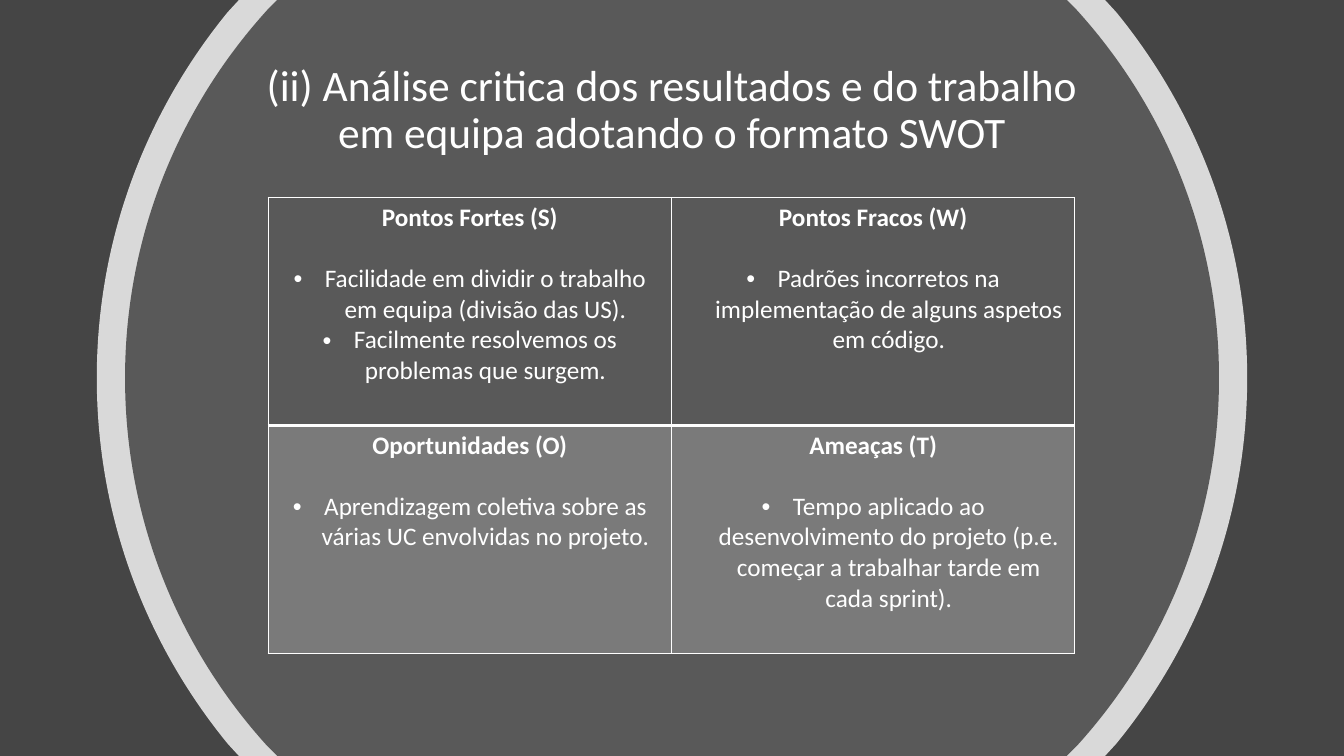
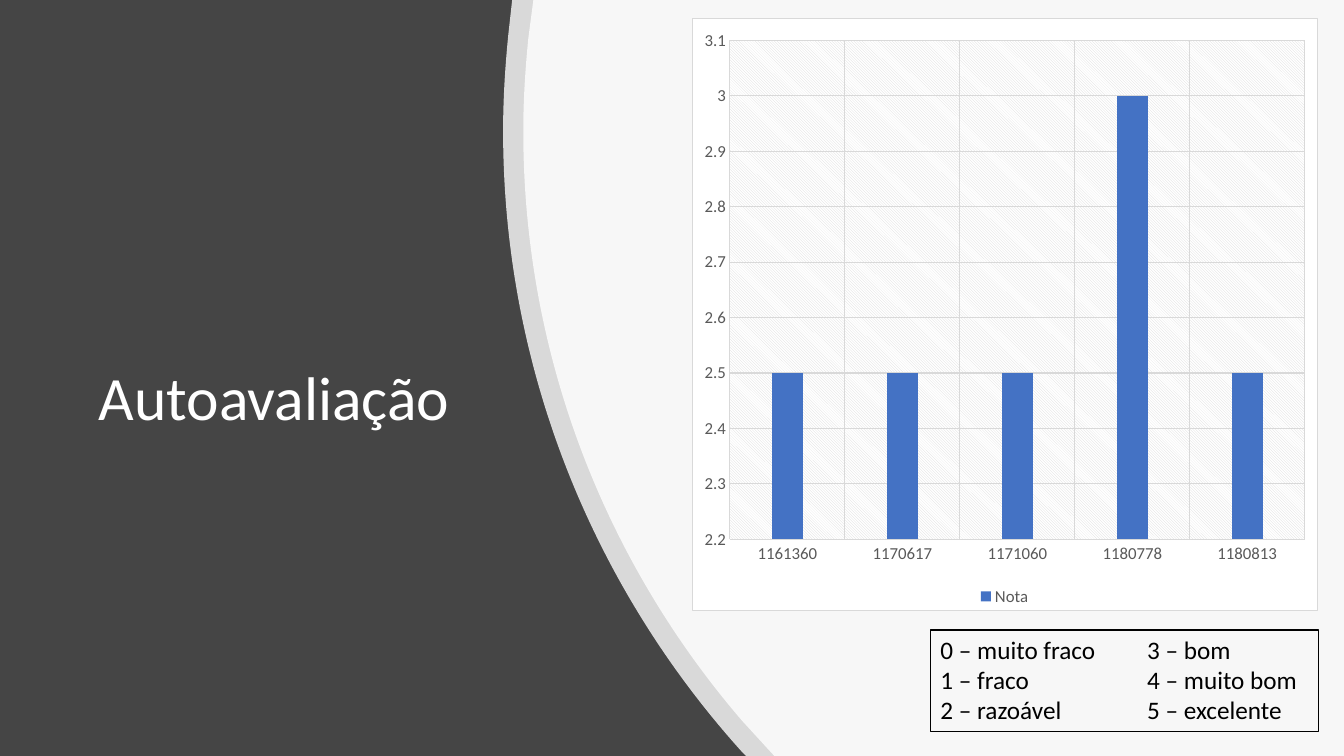
"""Build two slides: a SWOT table inside a ring and a self-assessment chart."""
import pptx
import pptx.chart.data
import pptx.dml.color
import pptx.enum.chart
import pptx.enum.shapes
import pptx.enum.text
import pptx.oxml
import pptx.oxml.ns
import pptx.util
from lxml import etree

PX = 9144
WIDTH, HEIGHT = 1333, 750
FONT = "Calibri"
COLORS = {
    "dark": "454545",
    "disc": "595959",
    "white": "FFFFFF",
    "black": "000000",
    "grid": "D9D9D9",
    "label": "595959",
    "bar": "4472C4",
}
ALIGN = pptx.enum.text.PP_ALIGN
DRAWING_NS = 'xmlns:a="http://schemas.openxmlformats.org/drawingml/2006/main"'
CHART_NS = 'xmlns:c="http://schemas.openxmlformats.org/drawingml/2006/chart"'

SWOT_TITLE = "(ii) Análise critica dos resultados e do trabalho em equipa adotando o formato SWOT"
SWOT_BOX = (266, 196, 800, 452)
SWOT = [
    [
        ("Pontos Fortes (S)", ["Facilidade em dividir o trabalho em equipa (divisão das US).",
                               "Facilmente resolvemos os problemas que surgem."]),
        ("Pontos Fracos (W)", ["Padrões incorretos na implementação de alguns aspetos em código."]),
    ],
    [
        ("Oportunidades (O)", ["Aprendizagem coletiva sobre as várias UC envolvidas no projeto."]),
        ("Ameaças (T)", ["Tempo aplicado ao desenvolvimento do projeto (p.e. começar a "
                         "trabalhar tarde em cada sprint)."]),
    ],
]
SWOT_BORDERS = [{"L": 1, "R": 1, "T": 1, "B": 2}, {"L": 1, "R": 1, "T": 1, "B": 1}]
SWOT_OPACITY = [None, 20]

RING_QUARTERS = [
    ([(1096, 0), (1107, 12), (1188, 111), (1237, 237), (1237, 375)], "white", 80),
    ([(1058, 0), (1068, 10), (1156, 107), (1209, 235), (1209, 375)], "disc", None),
]
PANELS = [
    [(508, 0), (WIDTH, 0), (WIDTH, HEIGHT), (740, HEIGHT), (736, 746),
     (589, 583, 499, 367, 499, 130), (499, 98, 501, 67, 504, 36)],
    [(529, 0), (WIDTH, 0), (WIDTH, HEIGHT), (768, HEIGHT), (736, 715),
     (601, 558, 519, 354, 519, 130), (519, 99, 521, 69, 524, 38)],
]

GRADES_TITLE = "Autoavaliação"
GRADES_BOX = (686, 18, 621, 588)
GRADES = {"1161360": 2.5, "1170617": 2.5, "1171060": 2.5, "1180778": 3, "1180813": 2.5}
SCALE_BOX = (923, 625, 385, 101)
SCALE_COLUMNS = [
    ((923, 624, 176, 101), ["0 – muito fraco", "1 – fraco", "2 – razoável"]),
    ((1128, 624, 171, 101), ["3 – bom", "4 – muito bom", "5 – excelente"]),
]


def rgb(name):
    return pptx.dml.color.RGBColor.from_string(COLORS[name])


def emu(lengths):
    return [length * PX for length in lengths]


def paint(fill, name, opacity=None):
    fill.solid()
    fill.fore_color.rgb = rgb(name)
    if opacity is not None:
        solid = fill._xPr.find(pptx.oxml.ns.qn("a:solidFill"))
        alpha = etree.SubElement(solid[0], pptx.oxml.ns.qn("a:alpha"))
        alpha.set("val", str(opacity * 1000))


def style_font(font, size, color, bold=False):
    font.name, font.size, font.bold = FONT, pptx.util.Pt(size), bold
    font.color.rgb = rgb(color)


def style_runs(paragraph, size, color, bold=False):
    for run in paragraph.runs:
        style_font(run.font, size, color, bold)


def add_text(slide, box, lines, size, color, wrap=True):
    frame = slide.shapes.add_textbox(*emu(box)).text_frame
    frame.text = "\n".join(lines)
    frame.word_wrap = wrap
    for paragraph in frame.paragraphs:
        style_runs(paragraph, size, color)
    return frame


def add_title(slide, box, title, size, align):
    frame = add_text(slide, box, [title], size, "white")
    frame.vertical_anchor = pptx.enum.text.MSO_ANCHOR.MIDDLE
    frame.paragraphs[0].alignment = align
    frame.paragraphs[0].line_spacing = 0.9


def ring(quarter):
    half = quarter + [(x, HEIGHT - y) for x, y in quarter[-2::-1]]
    outline = []
    for side in (half, [(WIDTH - x, y) for x, y in reversed(half)]):
        outline += [*side[:2], sum(side[2:5], ()), sum(side[5:8], ()), side[8]]
    return outline[-1:] + outline[:-1]


def add_outline(slide, outline, color, opacity):
    corners = [emu(part[i:i + 2]) for part in outline for i in range(0, len(part), 2)]
    builder = slide.shapes.build_freeform(*corners[0], scale=1.0)
    builder.add_line_segments(corners[1:], close=True)
    shape = builder.convert_to_shape()
    segments = iter(list(shape._element.iter(pptx.oxml.ns.qn("a:lnTo"))))
    for part in outline[1:]:
        segment = next(segments)
        if len(part) == 6:
            segment.tag = pptx.oxml.ns.qn("a:cubicBezTo")
            for _ in range(2):
                absorbed = next(segments)
                segment.append(absorbed[0])
                absorbed.getparent().remove(absorbed)
    shape.shadow.inherit = False
    shape.line.fill.background()
    paint(shape.fill, color, opacity)


def set_borders(cell, widths):
    properties = cell._tc.get_or_add_tcPr()
    for index, (side, width) in enumerate(widths.items()):
        properties.insert(index, pptx.oxml.parse_xml(
            f'<a:ln{side} {DRAWING_NS} w="{pptx.util.Pt(width)}">{solid_xml("white")}</a:ln{side}>'))


def set_bullet(paragraph):
    properties = paragraph._p.get_or_add_pPr()
    properties.set("marL", str(31 * PX))
    properties.set("indent", str(-31 * PX))
    etree.SubElement(properties, pptx.oxml.ns.qn("a:buFont")).set("typeface", "Arial")
    etree.SubElement(properties, pptx.oxml.ns.qn("a:buChar")).set("char", "•")


def fill_quadrant(cell, heading, points):
    cell.text_frame.text = "\n".join([heading, *points])
    for index, paragraph in enumerate(cell.text_frame.paragraphs):
        paragraph.alignment = ALIGN.CENTER
        style_runs(paragraph, 18, "white", bold=index == 0)
        if index == 0:
            paragraph.space_after = pptx.util.Pt(21.5)
        else:
            set_bullet(paragraph)


def add_swot(slide):
    table = slide.shapes.add_table(len(SWOT), len(SWOT[0]), *emu(SWOT_BOX)).table
    table.first_row = table.horz_banding = False
    for row, quadrants in enumerate(SWOT):
        for column, (heading, points) in enumerate(quadrants):
            cell = table.cell(row, column)
            fill_quadrant(cell, heading, points)
            if SWOT_OPACITY[row] is None:
                cell.fill.background()
            else:
                paint(cell.fill, "white", SWOT_OPACITY[row])
            set_borders(cell, SWOT_BORDERS[row])


def chart_area(fill, line):
    return pptx.oxml.parse_xml(
        f'<c:spPr {CHART_NS} {DRAWING_NS}>{fill}<a:ln w="9525">{line}</a:ln></c:spPr>')


def solid_xml(name):
    return f'<a:solidFill><a:srgbClr val="{COLORS[name]}"/></a:solidFill>'


def grid_line(line):
    line.width = pptx.util.Pt(0.75)
    line.color.rgb = rgb("grid")


def add_grades(slide):
    data = pptx.chart.data.CategoryChartData()
    data.categories = list(GRADES)
    data.add_series("Nota", list(GRADES.values()))
    chart = slide.shapes.add_chart(pptx.enum.chart.XL_CHART_TYPE.COLUMN_CLUSTERED,
                                   *emu(GRADES_BOX), data).chart
    style_font(chart.font, 10, "white")
    chart.has_title = False
    chart.has_legend = True
    chart.legend.position = pptx.enum.chart.XL_LEGEND_POSITION.BOTTOM
    chart.legend.include_in_layout = False
    style_font(chart.legend.font, 12, "label")

    plot = chart.plots[0]
    plot.vary_by_categories = False
    plot.gap_width, plot.overlap = 267, -43
    paint(plot.series[0].format.fill, "bar")

    for axis in (chart.category_axis, chart.value_axis):
        axis.major_tick_mark = axis.minor_tick_mark = pptx.enum.chart.XL_TICK_MARK.NONE
        axis.has_major_gridlines = True
        grid_line(axis.major_gridlines.format.line)
        style_font(axis.tick_labels.font, 12, "label")
    grid_line(chart.category_axis.format.line)
    grades = chart.value_axis
    grades.format.line.fill.background()
    grades.minimum_scale, grades.maximum_scale, grades.major_unit = 2.2, 3.1, 0.1

    hatch = (f'<a:pattFill prst="ltDnDiag"><a:fgClr><a:srgbClr val="{COLORS["grid"]}"/></a:fgClr>'
             f'<a:bgClr><a:srgbClr val="{COLORS["white"]}"/></a:bgClr></a:pattFill>')
    body = chart._chartSpace.find(pptx.oxml.ns.qn("c:chart"))
    body.find(pptx.oxml.ns.qn("c:plotArea")).append(chart_area(hatch, "<a:noFill/>"))
    body.addnext(chart_area(solid_xml("white"), solid_xml("grid")))


def add_scale(slide):
    frame = slide.shapes.add_shape(pptx.enum.shapes.MSO_SHAPE.RECTANGLE, *emu(SCALE_BOX))
    frame.shadow.inherit = False
    frame.fill.background()
    frame.line.color.rgb = rgb("black")
    frame.line.width = pptx.util.Pt(0.75)
    for box, grades in SCALE_COLUMNS:
        column = add_text(slide, box, grades, 18, "black", wrap=False)
        column.auto_size = pptx.enum.text.MSO_AUTO_SIZE.SHAPE_TO_FIT_TEXT


def add_slide(deck):
    slide = deck.slides.add_slide(deck.slide_layouts[6])
    paint(slide.background.fill, "dark")
    return slide


def main():
    deck = pptx.Presentation()
    deck.slide_width, deck.slide_height = emu((WIDTH, HEIGHT))

    swot = add_slide(deck)
    for quarter, color, opacity in RING_QUARTERS:
        add_outline(swot, ring(quarter), color, opacity)
    add_title(swot, (252, 40, 828, 141), SWOT_TITLE, 31, ALIGN.CENTER)
    add_swot(swot)

    assessment = add_slide(deck)
    add_title(assessment, (88, 152, 392, 490), GRADES_TITLE, 44, ALIGN.LEFT)
    for panel in PANELS:
        add_outline(assessment, panel, "white", 80)
    add_grades(assessment)
    add_scale(assessment)

    deck.save("out.pptx")


if __name__ == "__main__":
    main()
